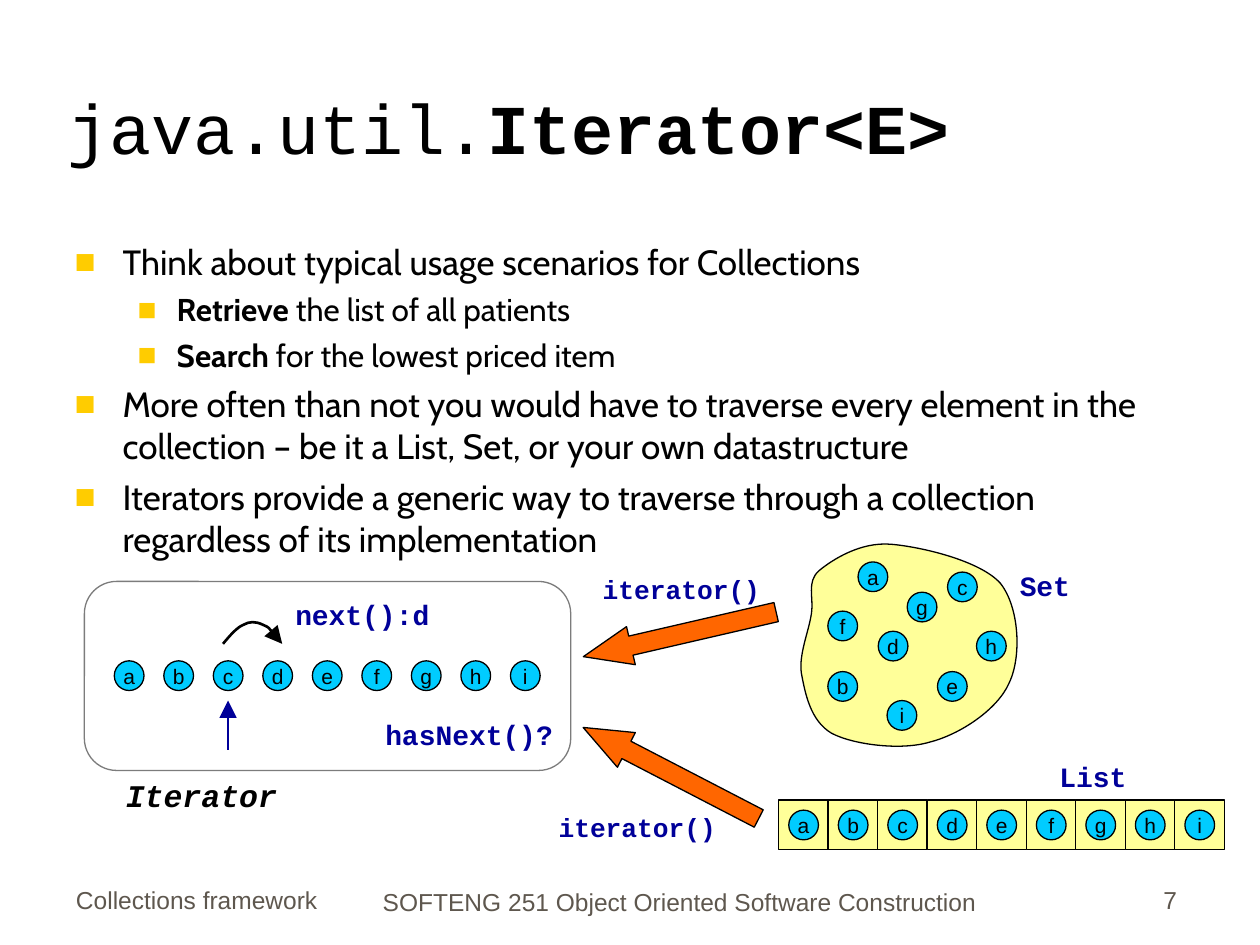
from lxml import etree
from pptx import Presentation
from pptx.dml.color import RGBColor
from pptx.enum.shapes import MSO_CONNECTOR, MSO_SHAPE
from pptx.enum.text import MSO_ANCHOR, MSO_AUTO_SIZE, PP_ALIGN
from pptx.oxml.ns import qn
from pptx.util import Inches, Pt

LEFT, CENTER, RIGHT = PP_ALIGN.LEFT, PP_ALIGN.CENTER, PP_ALIGN.RIGHT
TOP, MIDDLE, BOTTOM = MSO_ANCHOR.TOP, MSO_ANCHOR.MIDDLE, MSO_ANCHOR.BOTTOM
RECTANGLE, ROUNDED = MSO_SHAPE.RECTANGLE, MSO_SHAPE.ROUNDED_RECTANGLE
OVAL, LEFT_ARROW = MSO_SHAPE.OVAL, MSO_SHAPE.LEFT_ARROW
STRAIGHT, FIT_TEXT = MSO_CONNECTOR.STRAIGHT, MSO_AUTO_SIZE.SHAPE_TO_FIT_TEXT

COLUMNS, ROWS = 100, 75
SANS, BODY, MONO = "Arial", "Cabin", "Courier New"
BLACK, NAVY, GRAY, FOOTER = "000000", "000099", "7C7C7C", "5E574E"
YELLOW, CYAN, ORANGE, GOLD = "FFFF99", "00CCFF", "FF6600", "FFCC00"

ELEMENTS = "abcdefghi"
PITCH, DOT = 3.93, 2.36
SET_DOTS = {"a": (68.1, 44.6), "f": (65.7, 48.5), "g": (72, 47),
            "d": (69.7, 50.1), "b": (65.7, 53.3), "c": (75.2, 45.4),
            "e": (74.4, 53.3), "i": (70.4, 55.6), "h": (77.5, 50.1)}
# Curves: a start point, then two control points and an end point per segment
SET_OUTLINE = [
    (65, 45.3), (66.1, 44.4), (68.3, 43), (70.7, 43.2),
    (73.1, 43.4), (77.8, 44.5), (79.4, 46.3),
    (80.9, 48.2), (81.1, 52.1), (80.1, 54.2),
    (79.2, 56.3), (76.2, 58.3), (73.8, 58.9),
    (71.5, 59.6), (67.7, 59.1), (66, 58.2),
    (64.3, 57.2), (63.9, 55), (63.6, 53.4),
    (63.4, 51.9), (64.2, 50.1), (64.4, 48.7),
    (64.6, 47.4), (64, 46.2), (65, 45.3)]
NEXT_HOP = [
    (17.7, 51.1), (18.2, 50.5), (18.8, 49.8), (19.3, 49.6),
    (19.8, 49.3), (20.3, 49.3), (20.9, 49.6),
    (21.4, 49.8), (21.9, 50.5), (22.4, 51.1)]
BULLETS = [
    (0, [("Think about typical usage scenarios for Collections", False)]),
    (1, [("Retrieve", True), (" the list of all patients", False)]),
    (1, [("Search", True), (" for the lowest priced item", False)]),
    (0, [("More often than not you would have to traverse every element in the "
          "collection – be it a List, Set, or your own datastructure", False)]),
    (0, [("Iterators provide a generic way to traverse through a collection "
          "regardless of its implementation", False)])]
# Per level: text size, left margin, hanging indent, space before
LEVELS = [(20, 0.38, 0.38, 5), (18, 0.81, 0.31, 4.5)]


def color(value):
    return RGBColor.from_string(value)


def add_element(parent, tag, **attributes):
    return etree.SubElement(parent, qn(tag), attributes)


def bend_segments(shape):
    """Turn every three straight segments of a freeform into one Bézier curve."""
    lines = list(shape._element.iter(qn("a:lnTo")))
    for first in range(0, len(lines) - 2, 3):
        curve = etree.Element(qn("a:cubicBezTo"))
        lines[first].addprevious(curve)
        for line in lines[first:first + 3]:
            curve.append(line[0])
            line.getparent().remove(line)


class SlideBuilder:
    """Places elements by the columns and rows of the slide grid."""

    def __init__(self, presentation):
        self.slide = presentation.slides.add_slide(presentation.slide_layouts[6])
        self.shapes = self.slide.shapes
        self.column = presentation.slide_width / COLUMNS
        self.row = presentation.slide_height / ROWS

    def place(self, *lengths):
        """Grid lengths, alternately across and down, as EMU."""
        return [round(length * (self.row if index % 2 else self.column))
                for index, length in enumerate(lengths)]

    def style(self, shape, fill=None, line=BLACK, width=0.75):
        shape.shadow.inherit = False
        if fill:
            shape.fill.solid()
            shape.fill.fore_color.rgb = color(fill)
        else:
            shape.fill.background()
        shape.line.color.rgb = color(line)
        shape.line.width = Pt(width)

    def font(self, paragraph, name, size, ink=BLACK, bold=None, italic=None):
        font = paragraph.font
        font.name, font.size, font.bold, font.italic = name, Pt(size), bold, italic
        font.color.rgb = color(ink)

    def arrowhead(self, shape):
        add_element(shape.line._get_or_add_ln(), "a:tailEnd",
                    type="triangle", w="lg", len="lg")

    def shape(self, kind, box, fill=None, line=BLACK, adjustments=(), rotation=0):
        shape = self.shapes.add_shape(kind, *self.place(*box))
        self.style(shape, fill, line)
        for index, value in enumerate(adjustments):
            shape.adjustments[index] = value
        shape.rotation = rotation
        return shape

    def dot(self, letter, left, top):
        frame = self.shape(OVAL, (left, top, DOT, DOT), CYAN).text_frame
        frame.word_wrap = False
        frame.vertical_anchor = MIDDLE
        paragraph = frame.paragraphs[0]
        paragraph.text = letter
        paragraph.alignment = CENTER
        self.font(paragraph, SANS, 12)

    def curve(self, knots, fill=None, width=0.75, close=True):
        start, *rest = [self.place(*knot) for knot in knots]
        builder = self.shapes.build_freeform(*start)
        builder.add_line_segments(rest, close=close)
        shape = builder.convert_to_shape()
        bend_segments(shape)
        self.style(shape, fill, width=width)
        return shape

    def pointer(self, start, end):
        line = self.shapes.add_connector(STRAIGHT, *self.place(*start, *end))
        line.line.color.rgb = color(NAVY)
        line.line.width = Pt(1.5)
        self.arrowhead(line)
        add_element(line._element.spPr, "a:effectLst")

    def frame(self, box, anchor=TOP):
        frame = self.shapes.add_textbox(*self.place(*box)).text_frame
        frame.word_wrap = True
        frame.vertical_anchor = anchor
        return frame

    def runs(self, paragraph, parts):
        for text, bold in parts:
            run = paragraph.add_run()
            run.text = text
            run.font.bold = bold

    def title(self, box, parts):
        paragraph = self.frame(box, BOTTOM).paragraphs[0]
        self.font(paragraph, MONO, 40)
        self.runs(paragraph, parts)

    def bullets(self, box, items):
        frame = self.frame(box)
        for index, (level, parts) in enumerate(items):
            paragraph = frame.paragraphs[0] if index == 0 else frame.add_paragraph()
            size, margin, hanging, space = LEVELS[level]
            paragraph.level = level
            if index:
                paragraph.space_before = Pt(space)
            properties = paragraph._p.get_or_add_pPr()
            properties.set("marL", str(Inches(margin)))
            properties.set("indent", str(-Inches(hanging)))
            add_element(add_element(properties, "a:buClr"), "a:srgbClr", val=GOLD)
            add_element(properties, "a:buFont", typeface=SANS)
            add_element(properties, "a:buChar", char="■")
            self.font(paragraph, BODY, size)
            self.runs(paragraph, parts)

    def label(self, text, box, size=16, ink=NAVY, italic=None):
        frame = self.frame(box)
        frame.word_wrap = False
        frame.auto_size = FIT_TEXT
        frame.paragraphs[0].text = text
        self.font(frame.paragraphs[0], MONO, size, ink, True, italic)

    def footer(self, text, box, alignment):
        paragraph = self.frame(box, BOTTOM).paragraphs[0]
        paragraph.text = text
        paragraph.alignment = alignment
        self.font(paragraph, SANS, 14, FOOTER)


def main():
    presentation = Presentation()
    presentation.slide_width, presentation.slide_height = Inches(10), Inches(7.5)
    builder = SlideBuilder(presentation)

    builder.footer("Collections framework", (5.05, 68.1, 33.6, 5), LEFT)
    for index in range(len(ELEMENTS)):
        builder.shape(RECTANGLE, (61.8 + index * PITCH, 63.5, PITCH, PITCH), YELLOW)
    builder.curve(SET_OUTLINE, YELLOW)
    builder.title((4.4, 2.5, 85, 11.4), [("java.util.", False), ("Iterator<E>", True)])
    builder.bullets((4.95, 18.6, 89.4, 26.8), BULLETS)

    for letter, position in SET_DOTS.items():
        builder.dot(letter, *position)
    for left, top in ((62.6, 64.3), (9.07, 52.45)):
        for index, letter in enumerate(ELEMENTS):
            builder.dot(letter, left + index * PITCH, top)

    for left, top, rotation in ((46.1, 48.8, -13), (45.4, 59.8, 27.4)):
        builder.shape(LEFT_ARROW, (left, top, 15.7, 3.1), ORANGE,
                      adjustments=[0.5, 1.25], rotation=rotation)
    builder.pointer((18.1, 59.5), (18.1, 55.6))
    builder.arrowhead(builder.curve(NEXT_HOP, width=1.5, close=False))

    builder.label("Iterator", (9, 61.1, 14, 4), 18, BLACK, italic=True)
    builder.label("next():d", (22.45, 46.9, 12.8, 3.7))
    builder.label("iterator()", (46.85, 45, 14.6, 3.5), 15)
    builder.label("iterator()", (43.35, 63.9, 14.6, 3.5), 15)
    builder.label("Set", (79.95, 44.6, 6.1, 3.7))
    builder.label("List", (83.1, 59.8, 7.4, 3.7))
    builder.shape(ROUNDED, (6.7, 46.15, 38.6, 15), line=GRAY, adjustments=[0.17])
    builder.label("hasNext()?", (29.6, 56.45, 15.4, 3.7))

    builder.footer("SOFTENG 251 Object Oriented Software Construction",
                   (25.6, 68.2, 56.7, 5), CENTER)
    builder.footer("7", (73.6, 68.1, 20.8, 5), RIGHT)
    presentation.save("out.pptx")


if __name__ == "__main__":
    main()
